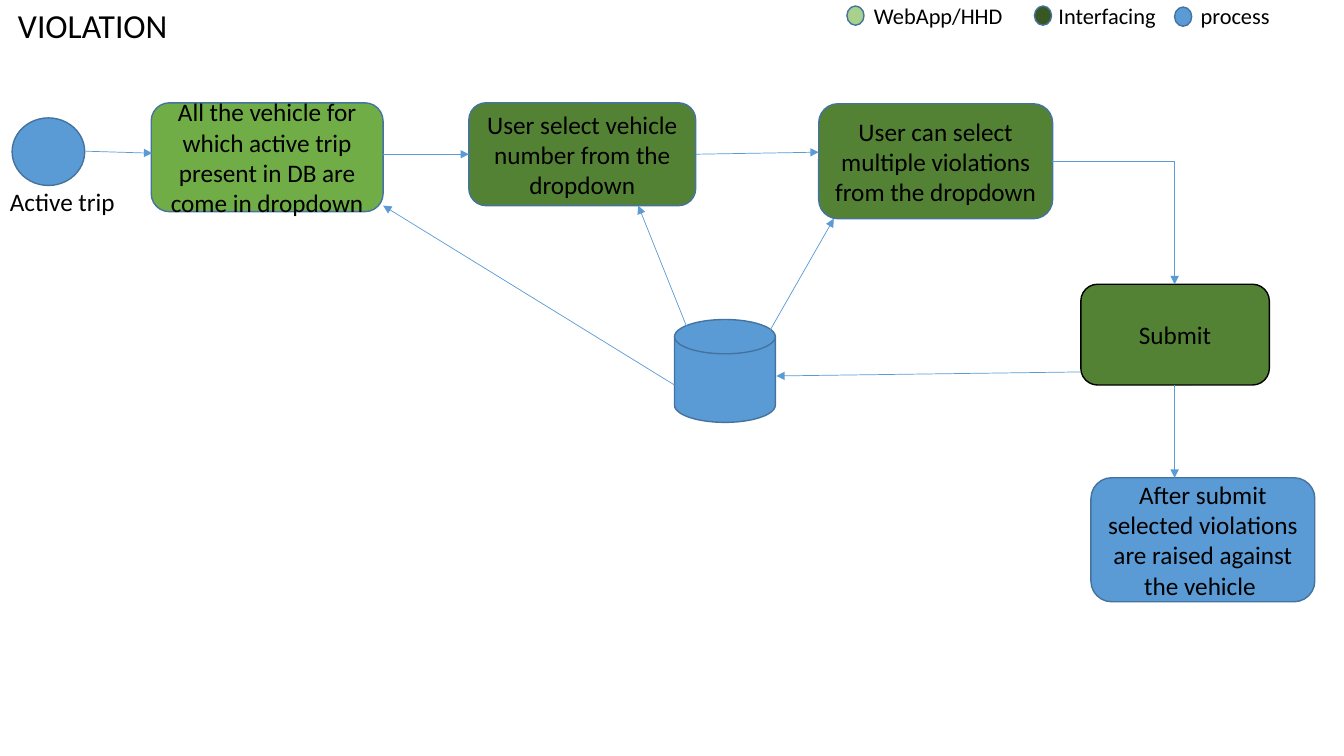
import pptx
import pptx.dml.color
import pptx.enum.shapes
import pptx.enum.text
import pptx.oxml
import pptx.oxml.ns
import pptx.util
from pptx.util import Inches

RGB = pptx.dml.color.RGBColor
SHAPE = pptx.enum.shapes.MSO_SHAPE
LINK = pptx.enum.shapes.MSO_CONNECTOR
ALIGN = pptx.enum.text.PP_ALIGN
ANCHOR = pptx.enum.text.MSO_ANCHOR

BLACK = RGB(0x00, 0x00, 0x00)
BLUE = RGB(0x5B, 0x9B, 0xD5)
OUTLINE = RGB(0x43, 0x73, 0x9E)
LIGHT = RGB(0xA9, 0xD1, 0x8E)
GREEN = RGB(0x70, 0xAD, 0x47)
FOREST = RGB(0x54, 0x82, 0x35)
DARK = RGB(0x38, 0x57, 0x23)

LABELS = [
    ("VIOLATION", (0.08, 0, 4.01, 0.5), 24),
    ("Active trip", (0, 1.8, 1.33, 0.4), 18),
]
LEGEND = [
    ("WebApp/HHD", 8.4, 8.57, 0.06, LIGHT),
    ("Interfacing", 10.26, 10.4, 0.06, DARK),
    ("process", 11.65, 11.81, 0.07, BLUE),
]
NODES = [
    (SHAPE.OVAL, "", (0.12, 1.17, 0.72, 0.67), BLUE, OUTLINE),
    (SHAPE.ROUNDED_RECTANGLE,
     "All the vehicle for which active trip present in DB are come in dropdown",
     (1.5, 1.02, 2.3, 1.08), GREEN, OUTLINE),
    (SHAPE.ROUNDED_RECTANGLE, "User select vehicle number from the dropdown",
     (4.65, 1.02, 2.25, 1.02), FOREST, OUTLINE),
    (SHAPE.ROUNDED_RECTANGLE,
     "User can select multiple violations from the dropdown",
     (8.12, 1.03, 2.32, 1.14), FOREST, OUTLINE),
    (SHAPE.ROUNDED_RECTANGLE, "Submit", (10.72, 2.82, 1.87, 1), FOREST, BLACK),
    (SHAPE.ROUNDED_RECTANGLE,
     "After submit selected violations are raised against the vehicle ",
     (10.82, 4.74, 2.22, 1.23), BLUE, OUTLINE),
    (SHAPE.FLOWCHART_MAGNETIC_DISK, "", (6.69, 3.17, 1, 1.02), BLUE, OUTLINE),
]
ARROWS = [
    (0.85, 1.5, 1.51, 1.52),
    (3.8, 1.53, 4.65, 1.53),
    (6.9, 1.53, 8.12, 1.51),
    (11.65, 3.82, 11.65, 4.74),
    (10.72, 3.69, 7.7, 3.73),
    (6.69, 3.82, 3.8, 2.04),
    (6.83, 3.29, 6.33, 2.04),
    (7.63, 3.29, 8.27, 2.17),
]
SUBMIT_ARROW = (10.43, 1.6, 11.65, 2.82)

prs = pptx.Presentation()
prs.slide_width, prs.slide_height = Inches(13.33), Inches(7.5)
slide = prs.slides.add_slide(prs.slide_layouts[6])


def write(sp, text, size=18, align=ALIGN.LEFT, anchor=ANCHOR.TOP):
    tf = sp.text_frame
    tf.word_wrap = True
    tf.vertical_anchor = anchor
    p = tf.paragraphs[0]
    p.alignment = align
    r = p.add_run()
    r.text = text
    r.font.name = "Calibri"
    r.font.size = pptx.util.Pt(size)
    r.font.color.rgb = BLACK


def add_label(text, box, size):
    write(slide.shapes.add_textbox(*map(Inches, box)), text, size=size)


def add_node(kind, text, box, fill, line):
    sp = slide.shapes.add_shape(kind, *map(Inches, box))
    sp.shadow.inherit = False
    sp.fill.solid()
    sp.fill.fore_color.rgb = fill
    sp.line.color.rgb = line
    sp.line.width = pptx.util.Pt(1)
    if text:
        write(sp, text, align=ALIGN.CENTER, anchor=ANCHOR.MIDDLE)


def add_arrow(ends, kind=LINK.STRAIGHT):
    cxn = slide.shapes.add_connector(kind, *map(Inches, ends))
    cxn.line.color.rgb = BLUE
    cxn.line.width = pptx.util.Pt(0.5)
    tail = pptx.oxml.parse_xml(
        f'<a:tailEnd {pptx.oxml.ns.nsdecls("a")} type="triangle"/>')
    cxn.line._get_or_add_ln().append(tail)
    sp_pr = cxn._element.spPr
    sp_pr.append(pptx.oxml.parse_xml(
        f'<a:effectLst {pptx.oxml.ns.nsdecls("a")}/>'))
    if kind == LINK.ELBOW:
        sp_pr.find(pptx.oxml.ns.qn("a:prstGeom")).set("prst", "bentConnector2")


for text, box, size in LABELS:
    add_label(text, box, size)
for text, dot_left, text_left, top, fill in LEGEND:
    add_node(SHAPE.OVAL, "", (dot_left, top, 0.17, 0.19), fill, OUTLINE)
    add_label(text, (text_left, -0.03, 1.6, 0.37), 16)
for node in NODES:
    add_node(*node)
for ends in ARROWS:
    add_arrow(ends)
add_arrow(SUBMIT_ARROW, LINK.ELBOW)

prs.save("out.pptx")
